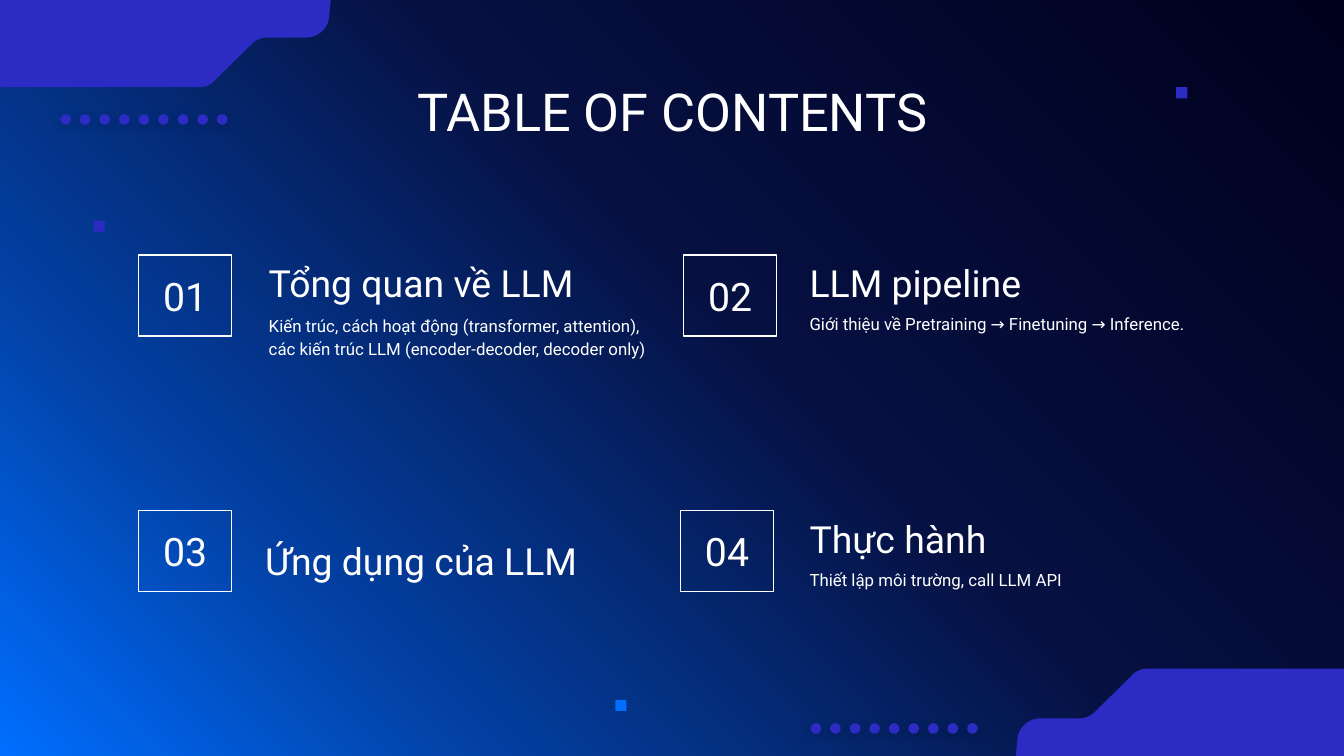
import pptx
import pptx.util
import pptx.dml.color
import pptx.enum.shapes
import pptx.enum.text
import pptx.oxml
import pptx.oxml.ns

Cm, Pt = pptx.util.Cm, pptx.util.Pt
MSO_SHAPE = pptx.enum.shapes.MSO_SHAPE
ANCHOR = pptx.enum.text.MSO_ANCHOR
ALIGN = pptx.enum.text.PP_ALIGN
RGB = pptx.dml.color.RGBColor.from_string
NS = pptx.oxml.ns.nsdecls("a")
COLORS = {"white": "FFFFFF", "violet": "2C2CC5", "azure": "006EFF",
          "blue": "033FA0", "navy": "061041", "night": "00001C",
          "shadow": "000000"}


def paint(sp, color):
    sp.shadow.inherit = False
    sp.fill.solid()
    sp.fill.fore_color.rgb = RGB(COLORS[color])
    sp.line.fill.background()


def write(sp, text, size, anchor=ANCHOR.TOP, align=ALIGN.LEFT):
    """Put one white paragraph into sp and return it."""
    tf = sp.text_frame
    tf.word_wrap = True
    tf.vertical_anchor = anchor
    tf.margin_left = tf.margin_right = tf.margin_top = tf.margin_bottom = Cm(0.25)
    tf.text = text
    p = tf.paragraphs[0]
    p.alignment = align
    r = p.runs[0]
    r.font.name = "Roboto"
    r.font.size = Pt(size)
    r.font.color.rgb = RGB(COLORS["white"])
    return p


prs = pptx.Presentation()
prs.slide_width, prs.slide_height = Cm(25.4), Cm(14.29)
s = prs.slides.add_slide(prs.slide_layouts[6])

# Background: radial gradient from the lower left corner
s.background.fill.solid()
bg = s._element.find(".//" + pptx.oxml.ns.qn("p:bgPr"))
stops = "".join(
    f'<a:gs pos="{pos * 1000}"><a:srgbClr val="{COLORS[name]}"/></a:gs>'
    for pos, name in [(0, "azure"), (24, "blue"), (56, "navy"), (100, "night")])
bg.replace(bg[0], pptx.oxml.parse_xml(
    f'<a:gradFill {NS} rotWithShape="1"><a:gsLst>{stops}</a:gsLst>'
    '<a:path path="circle"><a:fillToRect l="0" t="100000" r="100000" b="0"/></a:path>'
    '<a:tileRect/></a:gradFill>'))

# Corner tabs: the lower right one is the upper left one turned by 180 degrees
bends = [[(3.76, 1.65), (3.89, 1.65), (3.99, 1.6), (4.06, 1.52)],
         [(4.75, 0.84), (4.83, 0.76), (4.93, 0.71), (5.05, 0.71)],
         [(5.79, 0.71), (6.02, 0.71), (6.2, 0.53), (6.22, 0.33)]]
outline = [(0, 0), (0, 1.65)]
for bend in bends:
    for i in range(13):
        t = i / 12
        weights = [(1 - t) ** 3, 3 * t * (1 - t) ** 2, 3 * t * t * (1 - t), t ** 3]
        outline.append(tuple(sum(w * pt[axis] for w, pt in zip(weights, bend))
                             for axis in (0, 1)))
outline.append((6.25, 0))
turned = [(25.45 - x, 14.29 - y) for x, y in outline]
for corner in (outline, turned):
    pts = [(Cm(x), Cm(y)) for x, y in corner]
    fb = s.shapes.build_freeform(*pts[0])
    fb.add_line_segments(pts[1:], close=True)
    paint(fb.convert_to_shape(), "violet")

# Dot rows
for left, top in [(1.14, 2.16), (15.32, 13.67)]:
    for i in range(9):
        sp = s.shapes.add_shape(MSO_SHAPE.OVAL, Cm(left + i * 0.37), Cm(top),
                                Cm(0.2), Cm(0.2))
        paint(sp, "violet")
        effects = sp._element.spPr.find(pptx.oxml.ns.qn("a:effectLst"))
        effects.append(pptx.oxml.parse_xml(
            f'<a:outerShdw {NS} blurRad="{Pt(4.5)}" dist="{Pt(1.5)}" dir="5400000"'
            f' algn="bl" rotWithShape="0"><a:srgbClr val="{COLORS["shadow"]}">'
            '<a:alpha val="16000"/></a:srgbClr></a:outerShdw>'))

# Small squares
for left, top, color in [(22.23, 1.65, "violet"), (11.63, 13.23, "azure"),
                         (1.77, 4.17, "violet")]:
    paint(s.shapes.add_shape(MSO_SHAPE.RECTANGLE, Cm(left), Cm(top),
                             Cm(0.21), Cm(0.21)), color)

title = s.shapes.add_textbox(Cm(2), Cm(1.24), Cm(21.41), Cm(1.6))
write(title, "TABLE OF CONTENTS", 28, align=ALIGN.CENTER)

# Contents: number, box left and top, text left, heading bottom, heading, body
items = [
    ("01", 2.62, 4.82, 4.83, 6.02, "Tổng quan về LLM",
     "Kiến trúc, cách hoạt động (transformer, attention), "
     "các kiến trúc LLM (encoder-decoder, decoder only)"),
    ("02", 12.92, 4.82, 15.05, 6.02, "LLM pipeline",
     "Giới thiệu về Pretraining → Finetuning → Inference."),
    ("03", 2.62, 9.65, 4.76, 11.27, "Ứng dụng của LLM", None),
    ("04", 12.86, 9.65, 15.05, 10.86, "Thực hành",
     "Thiết lập môi trường, call LLM API"),
]
for number, box_left, box_top, left, bottom, heading, body in items:
    sp = s.shapes.add_shape(MSO_SHAPE.RECTANGLE, Cm(box_left), Cm(box_top),
                            Cm(1.76), Cm(1.53))
    sp.shadow.inherit = False
    sp.fill.background()
    sp.line.color.rgb = RGB(COLORS["white"])
    sp.line.width = Pt(0.75)
    write(sp, number, 21, ANCHOR.MIDDLE, ALIGN.CENTER)

    head = s.shapes.add_textbox(Cm(left), Cm(bottom - 1.73), Cm(7.72), Cm(1.73))
    write(head, heading, 20, ANCHOR.BOTTOM)
    if body:
        text = s.shapes.add_textbox(Cm(left), Cm(bottom - 0.36), Cm(7.72), Cm(1.73))
        p = write(text, body, 9)
        p.line_spacing = 1.15
        p.space_before = p.space_after = Pt(12)

prs.save("out.pptx")
